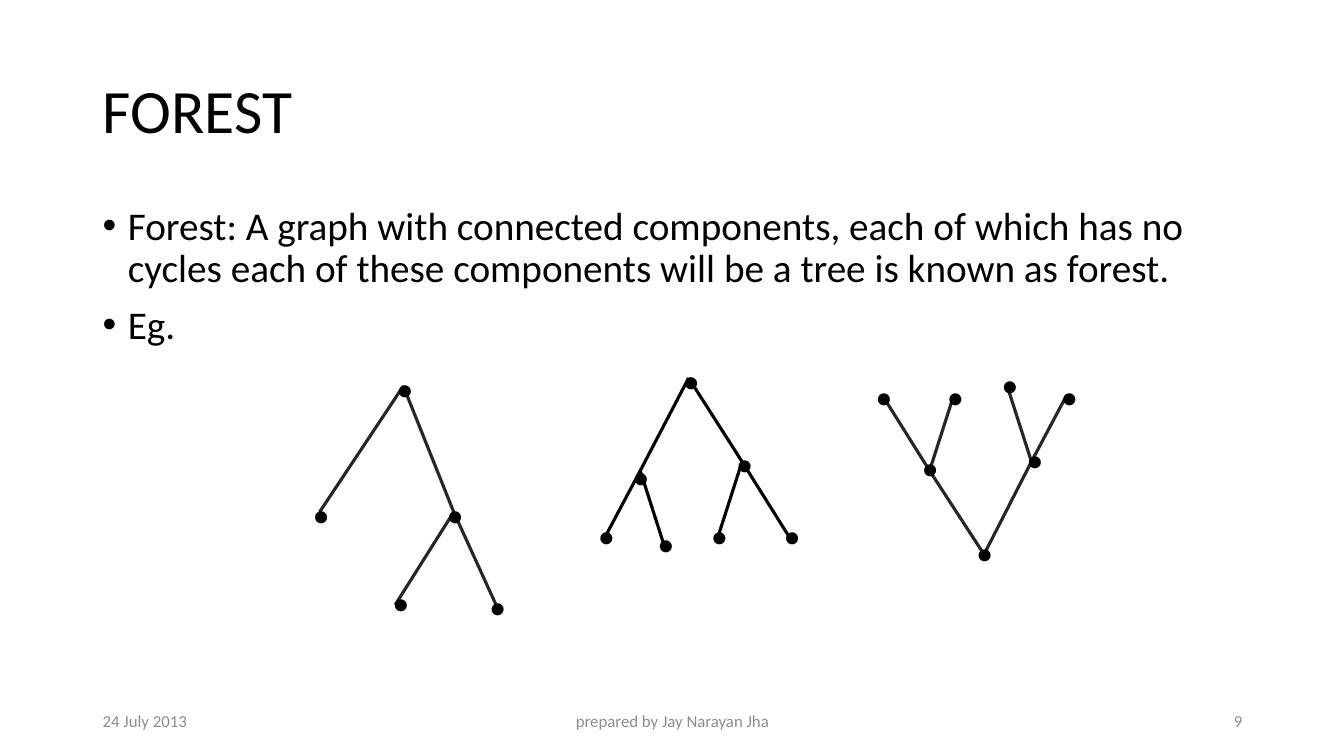
from lxml.etree import SubElement
from pptx import Presentation
from pptx.dml.color import RGBColor
from pptx.enum.shapes import MSO_CONNECTOR
from pptx.enum.text import MSO_ANCHOR, MSO_AUTO_SIZE, PP_ALIGN
from pptx.oxml.ns import qn
from pptx.util import Inches, Pt

BLACK = RGBColor(0x00, 0x00, 0x00)
CHARCOAL = RGBColor(0x26, 0x26, 0x26)
GRAY = RGBColor(0x8C, 0x8C, 0x8C)

TITLE = "FOREST"
POINTS = [
    "Forest: A graph with connected components, each of which has no "
    "cycles each of these components will be a tree is known as forest.",
    "Eg.",
]
# text, left, width, alignment
FOOTERS = [
    ("24 July 2013", 0.92, 3, PP_ALIGN.LEFT),
    ("prepared by Jay Narayan Jha", 4.42, 4.5, PP_ALIGN.CENTER),
    ("9", 9.42, 3, PP_ALIGN.RIGHT),
]
# Each node: where its edges meet (x, y), then the corner of its dot (left, top)
TREES = [
    {
        "color": CHARCOAL,
        "nodes": {
            "root": (9.76, 5.5, 9.58, 5.13),
            "left": (9.22, 4.67, 9.04, 4.29),
            "right": (10.23, 4.58, 10.08, 4.21),
            "leaf 1": (8.75, 3.92, 8.58, 3.58),
            "leaf 2": (9.46, 3.92, 9.29, 3.58),
            "leaf 3": (9.99, 3.83, 9.83, 3.46),
            "leaf 4": (10.58, 3.92, 10.42, 3.58),
        },
        "children": {"root": ["left", "right"], "left": ["leaf 1", "leaf 2"],
                     "right": ["leaf 3", "leaf 4"]},
    },
    {
        "color": CHARCOAL,
        "nodes": {
            "root": (4, 3.83, 3.83, 3.5),
            "left": (3.17, 5.08, 3, 4.75),
            "right": (4.5, 5.08, 4.33, 4.75),
            "leaf 1": (3.92, 6, 3.79, 5.63),
            "leaf 2": (4.92, 6, 4.75, 5.67),
        },
        "children": {"root": ["left", "right"], "right": ["leaf 1", "leaf 2"]},
    },
    {
        "color": BLACK,
        "nodes": {
            "root": (6.83, 3.75, 6.67, 3.42),
            "left": (6.35, 4.67, 6.17, 4.38),
            "right": (7.36, 4.58, 7.2, 4.25),
            "leaf 1": (6, 5.33, 5.83, 4.96),
            "leaf 2": (6.59, 5.42, 6.42, 5.04),
            "leaf 3": (7.12, 5.33, 6.95, 4.96),
            "leaf 4": (7.83, 5.33, 7.67, 4.96),
        },
        "children": {"root": ["left", "right"], "left": ["leaf 1", "leaf 2"],
                     "right": ["leaf 3", "leaf 4"]},
    },
]
MARGIN, CONTENT_WIDTH = 0.92, 11.5
DOT_WIDTH, DOT_HEIGHT = 0.38, 0.71


def set_font(paragraph, size, color=BLACK, name="Calibri"):
    paragraph.font.size = Pt(size)
    paragraph.font.name = name
    paragraph.font.color.rgb = color


def add_text(shapes, box, text, anchor=MSO_ANCHOR.TOP, wrap=True):
    frame = shapes.add_textbox(*map(Inches, box)).text_frame
    frame.word_wrap = wrap
    frame.vertical_anchor = anchor
    frame.text = text
    return frame


def add_bullet(paragraph):
    properties = paragraph._p.get_or_add_pPr()
    properties.set("marL", str(Inches(0.25)))
    properties.set("indent", str(Inches(-0.25)))
    SubElement(properties, qn("a:buFont")).set("typeface", "Arial")
    SubElement(properties, qn("a:buChar")).set("char", "•")


def add_edge(shapes, start, end, color):
    edge = shapes.add_connector(MSO_CONNECTOR.STRAIGHT, *map(Inches, start + end))
    edge.line.color.rgb = color
    edge.line.width = Pt(2.25)
    SubElement(edge._element.spPr, qn("a:effectLst"))


def add_tree(slide, tree):
    shapes = slide.shapes.add_group_shape().shapes
    nodes = tree["nodes"]
    for parent, children in tree["children"].items():
        for child in children:
            add_edge(shapes, nodes[parent][:2], nodes[child][:2], tree["color"])
    for node in nodes.values():
        dot = add_text(shapes, (*node[2:], DOT_WIDTH, DOT_HEIGHT), "•", wrap=False)
        dot.auto_size = MSO_AUTO_SIZE.SHAPE_TO_FIT_TEXT
        set_font(dot.paragraphs[0], 36, name="Times New Roman")


def main():
    deck = Presentation()
    deck.slide_width, deck.slide_height = Inches(13.33), Inches(7.5)
    slide = deck.slides.add_slide(deck.slide_layouts[5])

    title = slide.shapes.title
    title.left, title.top = Inches(MARGIN), Inches(0.4)
    title.width, title.height = Inches(CONTENT_WIDTH), Inches(1.45)
    title.text_frame.text = TITLE
    title.text_frame.vertical_anchor = MSO_ANCHOR.MIDDLE
    heading = title.text_frame.paragraphs[0]
    heading.alignment = PP_ALIGN.LEFT
    heading.line_spacing = 0.9
    set_font(heading, 44)

    body = add_text(slide.shapes, (MARGIN, 2, CONTENT_WIDTH, 4.76), "\n".join(POINTS))
    for index, point in enumerate(body.paragraphs):
        add_bullet(point)
        point.line_spacing = 0.9
        point.space_before = Pt(10 if index else 0)
        set_font(point, 28)

    for text, left, width, alignment in FOOTERS:
        footer = add_text(slide.shapes, (left, 6.95, width, 0.4), text,
                          MSO_ANCHOR.MIDDLE).paragraphs[0]
        footer.alignment = alignment
        set_font(footer, 12, GRAY)

    for tree in TREES:
        add_tree(slide, tree)

    deck.save("out.pptx")


if __name__ == "__main__":
    main()
